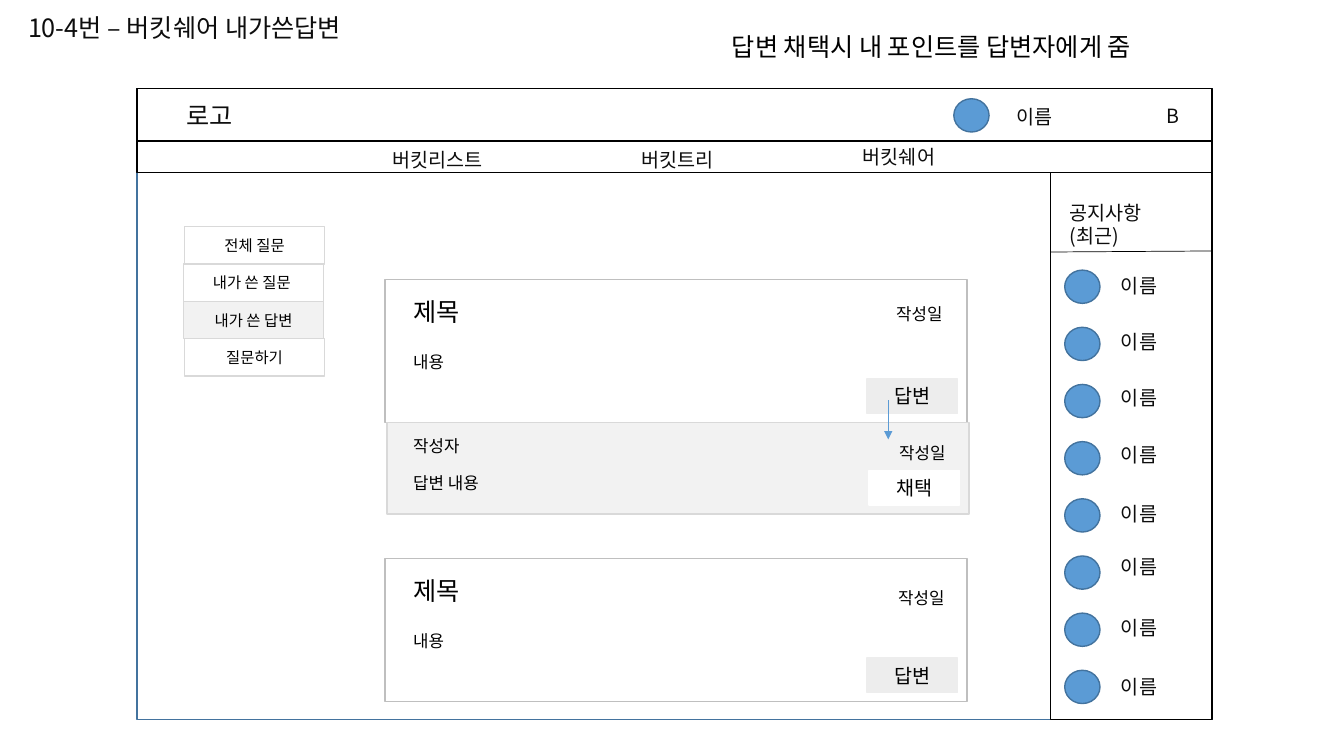
from lxml import etree
from pptx import Presentation
from pptx.dml.color import RGBColor
from pptx.enum import shapes, text
from pptx.oxml import ns
from pptx.util import Inches, Pt

FONT = "Noto Sans CJK KR"
BLACK = RGBColor(0x00, 0x00, 0x00)
INK = RGBColor(0x0D, 0x0D, 0x0D)
WHITE = RGBColor(0xFF, 0xFF, 0xFF)
BLUE = RGBColor(0x5B, 0x9B, 0xD5)
DARK_BLUE = RGBColor(0x43, 0x73, 0x9E)
CARD_EDGE = RGBColor(0xBF, 0xBF, 0xBF)
MENU_EDGE = RGBColor(0xD9, 0xD9, 0xD9)
PANEL_GREY = RGBColor(0xF2, 0xF2, 0xF2)
BUTTON_GREY = RGBColor(0xED, 0xED, 0xED)

RECT = shapes.MSO_SHAPE.RECTANGLE
OVAL = shapes.MSO_SHAPE.OVAL
LABEL = {"word_wrap": False, "auto_size": text.MSO_AUTO_SIZE.SHAPE_TO_FIT_TEXT}
CENTRED = {"word_wrap": True, "vertical_anchor": text.MSO_ANCHOR.MIDDLE}

deck = Presentation()
deck.slide_width, deck.slide_height = Inches(13.33), Inches(7.5)
page = deck.slides.add_slide(deck.slide_layouts[6])


def write(words, area, size, color=BLACK, box=None):
    """Write words as a label in area, or centred in the given shape."""
    frame_format = CENTRED if box else LABEL
    box = box or page.shapes.add_textbox(*map(Inches, area))
    frame = box.text_frame
    frame.text = words
    for name, value in frame_format.items():
        setattr(frame, name, value)
    para = frame.paragraphs[0]
    if frame_format is CENTRED:
        para.alignment = text.PP_ALIGN.CENTER
    for span in para.runs:
        for name, value in {"name": FONT, "size": Pt(size)}.items():
            setattr(span.font, name, value)
        span.font.color.rgb = color
        east_asian = etree.SubElement(span.font._element, ns.qn("a:ea"))
        east_asian.set("typeface", FONT)
    return box


def draw(kind, area, fill=None, edge=None, words="", size=14, color=BLACK):
    """Draw a preset shape with optional fill, outline and centred words."""
    box = page.shapes.add_shape(kind, *map(Inches, area))
    box.shadow.inherit = False
    for paint, shade in ((box.fill, fill), (box.line.fill, edge)):
        if shade is None:
            paint.background()
        else:
            paint.solid()
            paint.fore_color.rgb = shade
    if edge is not None:
        box.line.width = Pt(1)
    if words:
        write(words, area, size, color, box)


# Headings
title = write("10-4번 – 버킷쉐어 내가쓴답변", (0.18, 0.14, 11.5, 0.3), 18, INK)
title_format = {"word_wrap": True, "auto_size": text.MSO_AUTO_SIZE.NONE,
                "vertical_anchor": text.MSO_ANCHOR.MIDDLE}
for name, value in title_format.items():
    setattr(title.text_frame, name, value)
title.text_frame.paragraphs[0].line_spacing = 0.9
write("답변 채택시 내 포인트를 답변자에게 줌", (7.16, 0.26, 4.69, 0.4), 18)

# Window frame, header and navigation
draw(RECT, (1.36, 0.88, 10.66, 6.26), edge=DARK_BLUE)
for top, height in ((0.88, 0.52), (1.4, 0.31)):
    draw(RECT, (1.36, top, 10.66, height), WHITE, BLACK)
draw(RECT, (1.52, 0.98, 1.12, 0.33), WHITE, None, "로고", 18, INK)
draw(OVAL, (9.46, 0.98, 0.35, 0.33), BLUE, DARK_BLUE)
for words, left, top, width in (
    ("이름", 9.98, 0.99, 0.56),
    ("B", 11.47, 0.98, 0.3),
    ("버킷리스트", 3.79, 1.42, 1.12),
    ("버킷트리", 6.26, 1.42, 0.93),
    ("버킷쉐어", 8.46, 1.39, 0.93),
):
    write(words, (left, top, width, 0.31), 14, INK)

# Notice sidebar
draw(RECT, (10.42, 1.71, 1.6, 5.43), WHITE, BLACK)
write("공지사항\v(최근)", (10.51, 1.94, 1.41, 0.55), 14, INK)
name_tops = (2.67, 3.22, 3.78, 4.34, 4.93, 5.46, 6.06, 6.65)
circle_gap = (6.65 - 2.68) / (len(name_tops) - 1)
for index, name_top in enumerate(name_tops):
    draw(OVAL, (10.56, 2.68 + index * circle_gap, 0.35, 0.33), BLUE, DARK_BLUE)
    write("이름", (11.02, name_top, 0.56, 0.31), 14, INK)

# Question menu
for index, (words, left, fill) in enumerate((
    ("전체 질문", 1.83, None),
    ("내가 쓴 질문 ", 1.82, None),
    ("내가 쓴 답변", 1.82, PANEL_GREY),
    ("질문하기", 1.83, None),
)):
    draw(RECT, (left, 2.25 + index * 0.37, 1.39, 0.37), fill, MENU_EDGE, words, 11)

# Question cards
for top, date_left, date_top in ((2.77, 8.79, 2.96), (5.54, 8.81, 5.78)):
    draw(RECT, (3.82, top, 5.77, 1.42), WHITE, CARD_EDGE)
    write("제목", (4, top + 0.12, 0.71, 0.4), 18)
    write("작성일", (date_left, date_top, 0.71, 0.3), 12)
    write("내용", (4, top + 0.67, 0.54, 0.3), 12)
    draw(RECT, (8.6, top + 0.99, 0.9, 0.34), BUTTON_GREY, BUTTON_GREY, "답변")

# Answer panel
draw(RECT, (3.84, 4.19, 5.77, 0.91), PANEL_GREY, MENU_EDGE)
for words, left, top, width in (
    ("작성자", 4, 4.27, 0.71),
    ("작성일", 8.82, 4.34, 0.71),
    ("답변 내용", 4, 4.64, 0.93),
):
    write(words, (left, top, width, 0.3), 12)
draw(RECT, (8.62, 4.67, 0.9, 0.34), WHITE, WHITE, "채택")

# Sidebar divider and answer arrow
for ends, color, has_arrow in (
    ((10.42, 2.5, 12.02, 2.49), BLACK, False),
    ((8.81, 3.97, 8.81, 4.36), BLUE, True),
):
    line = page.shapes.add_connector(shapes.MSO_CONNECTOR.STRAIGHT, *map(Inches, ends))
    line.line.color.rgb = color
    line.line.width = Pt(0.5)
    if has_arrow:
        etree.SubElement(line.line._get_or_add_ln(), ns.qn("a:tailEnd"), type="triangle")
    etree.SubElement(line._element.spPr, ns.qn("a:effectLst"))

deck.save("out.pptx")
